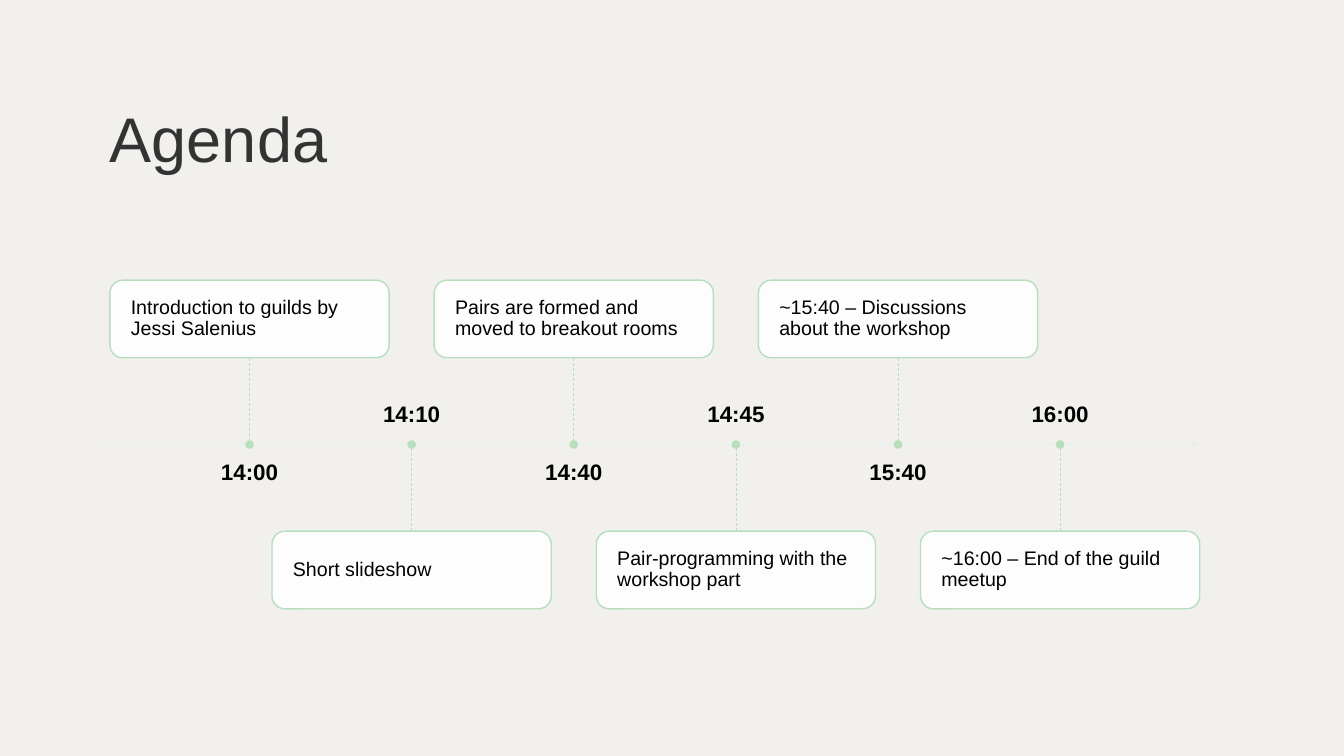
from dataclasses import dataclass

from lxml import etree
from pptx import Presentation
from pptx import util as u
from pptx.dml.color import RGBColor
from pptx.enum import dml, shapes, text
from pptx.oxml import ns


@dataclass(frozen=True)
class Theme:
    font: str = "Arial"
    background: str = "F1F0ED"
    title: str = "333333"
    ink: str = "000000"
    card: str = "FFFFFF"
    accent: str = "B7DEBD"
    axis: str = "E6F2E8"
    title_size: int = 45
    time_size: int = 16
    card_size: int = 14
    opacity: int = 90


class AgendaPage:
    def __init__(self, deck, theme):
        self.theme = theme
        self.page = deck.slides.add_slide(deck.slide_layouts[5])
        self.paint(self.page.background.fill, theme.background)

    def paint(self, fill, color, opacity=100):
        fill.solid()
        fill.fore_color.rgb = RGBColor.from_string(color)
        if opacity < 100:
            for node in fill._xPr.iter(ns.qn("a:srgbClr")):
                etree.SubElement(node, ns.qn("a:alpha"), val=str(opacity * 1000))

    def set_words(self, box, words, size, color, anchor, align, insets, spacing=0.9, bold=False):
        frame = box.text_frame
        frame.word_wrap = True
        frame.auto_size = text.MSO_AUTO_SIZE.NONE
        frame.vertical_anchor = anchor
        (frame.margin_left, frame.margin_top,
         frame.margin_right, frame.margin_bottom) = map(u.Inches, insets)
        para = frame.paragraphs[0]
        para.alignment = align
        para.line_spacing = spacing
        span = para.add_run()
        span.text = words
        span.font.name = self.theme.font
        span.font.size = u.Pt(size)
        span.font.bold = bold
        span.font.color.rgb = RGBColor.from_string(color)

    def title(self, words, *place):
        box = self.page.shapes.title
        box.left, box.top, box.width, box.height = map(u.Inches, place)
        self.set_words(box, words, self.theme.title_size, self.theme.title,
                       text.MSO_ANCHOR.MIDDLE, text.PP_ALIGN.LEFT, (0, 0.05, 0.1, 0.05), 0.8)

    def shape(self, kind, fill, opacity, *place):
        box = self.page.shapes.add_shape(kind, *map(u.Inches, place))
        box.shadow.inherit = False
        self.paint(box.fill, fill, opacity)
        self.paint(box.line.fill, self.theme.accent)
        box.line.width = u.Pt(1)
        return box

    def card(self, words, *place):
        box = self.shape(shapes.MSO_SHAPE.ROUNDED_RECTANGLE, self.theme.card,
                         self.theme.opacity, *place)
        self.set_words(box, words, self.theme.card_size, self.theme.ink,
                       text.MSO_ANCHOR.MIDDLE, text.PP_ALIGN.LEFT, (0.17,) * 4)
        return box

    def dot(self, x, y, size):
        self.shape(shapes.MSO_SHAPE.OVAL, self.theme.accent, 100,
                   x - size / 2, y - size / 2, size, size)

    def time(self, words, anchor, *place):
        box = self.page.shapes.add_textbox(*map(u.Inches, place))
        self.set_words(box, words, self.theme.time_size, self.theme.ink,
                       anchor, text.PP_ALIGN.CENTER, (0,) * 4, bold=True)

    def line(self, color, width, opacity, *ends):
        line = self.page.shapes.add_connector(shapes.MSO_CONNECTOR.STRAIGHT,
                                              *map(u.Inches, ends))
        self.paint(line.line.fill, color, opacity)
        line.line.width = u.Pt(width)
        etree.SubElement(line._element.spPr, ns.qn("a:effectLst"))
        return line

    def axis(self, left, right, y):
        line = self.line(self.theme.axis, 1, self.theme.opacity, left, y, right, y)
        etree.SubElement(line.line._get_or_add_ln(), ns.qn("a:tailEnd"), type="triangle")

    def stem(self, card, side, x, start, end):
        line = self.line(self.theme.accent, 0.5, 100, x, start, x, end)
        line.line.dash_style = dml.MSO_LINE.DASH
        line.begin_connect(card, side)


LEFT, RIGHT, AXIS = 1.09, 11.9, 4.41
CARD_WIDTH, CARD_HEIGHT, STEM = 2.77, 0.77, 0.86
TIME_WIDTH, TIME_HEIGHT, TIME_GAP = 2.44, 0.51, 0.17
DOT = 0.07

EVENTS = [
    ("14:00", "Introduction to guilds by Jessi Salenius"),
    ("14:10", "Short slideshow"),
    ("14:40", "Pairs are formed and moved to breakout rooms"),
    ("14:45", "Pair-programming with the workshop part"),
    ("15:40", "~15:40 – Discussions about the workshop"),
    ("16:00", "~16:00 – End of the guild meetup"),
]


def main():
    deck = Presentation()
    deck.slide_width, deck.slide_height = u.Inches(13.33), u.Inches(7.5)
    agenda = AgendaPage(deck, Theme())

    # Title and time axis
    agenda.title("Agenda", LEFT, 0.88, 10.82, 1.1)
    agenda.axis(LEFT, RIGHT, AXIS)

    # Events alternate above and below the axis, evenly spread
    step = (RIGHT - LEFT - CARD_WIDTH) / (len(EVENTS) - 1)
    for index, (time, words) in enumerate(EVENTS):
        left = LEFT + index * step
        center = left + CARD_WIDTH / 2
        if index % 2 == 0:
            edge, side = AXIS - STEM, 2
            card_top, time_top = edge - CARD_HEIGHT, AXIS + TIME_GAP
            anchor = text.MSO_ANCHOR.TOP
        else:
            edge, side = AXIS + STEM, 0
            card_top, time_top = edge, AXIS - TIME_GAP - TIME_HEIGHT
            anchor = text.MSO_ANCHOR.BOTTOM
        agenda.time(time, anchor, center - TIME_WIDTH / 2, time_top, TIME_WIDTH, TIME_HEIGHT)
        card = agenda.card(words, left, card_top, CARD_WIDTH, CARD_HEIGHT)
        agenda.stem(card, side, center, edge, AXIS)
        agenda.dot(center, AXIS, DOT)

    deck.save("out.pptx")


if __name__ == "__main__":
    main()
